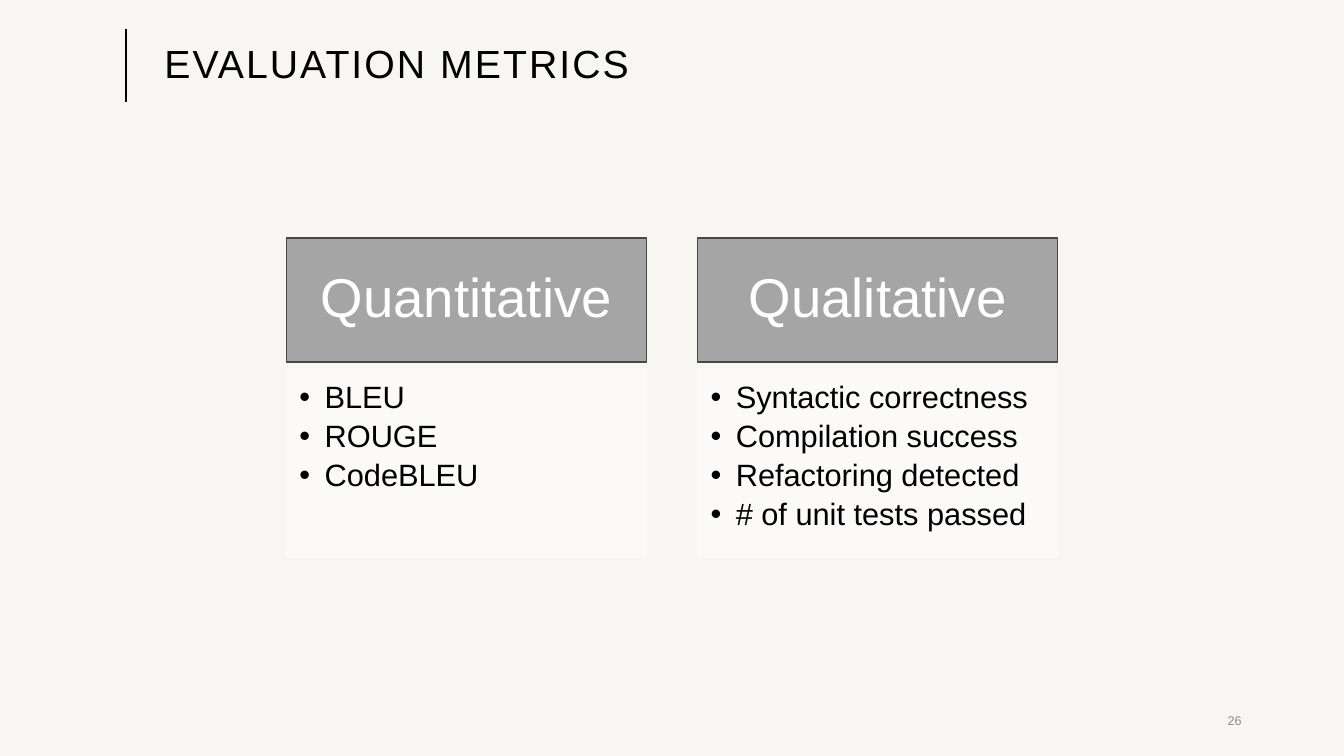
"""Build the evaluation metrics slide with its two labelled lists."""
from lxml import etree
from pptx import Presentation
from pptx import util as u
from pptx.dml.color import RGBColor
from pptx.enum import shapes, text
from pptx.oxml import ns

TITLE = "EVALUATION METRICS"
PAGE_NUMBER = "26"
METRICS = {
    "Quantitative": ["BLEU", "ROUGE", "CodeBLEU"],
    "Qualitative": ["Syntactic correctness", "Compilation success",
                    "Refactoring detected", "# of unit tests passed"],
}
BACKGROUND, BLACK, WHITE, MUTED = "F7F6F3", "000000", "FFFFFF", "8C8C8C"
HEADER_FILL, HEADER_LINE, BODY_FILL = "A5A5A5", "484848", "FDFBF9"

COLUMN_LEFT, COLUMN_STEP, COLUMN_WIDTH = 204.5, 293.7, 257.3
HEADER_TOP, HEADER_HEIGHT = 170, 88.6
BODY_TOP, BODY_HEIGHT = 263.5, 134.6
BULLET_INDENT = 18

TITLE_FORMAT = {"line_spacing": 0.9, "alignment": text.PP_ALIGN.LEFT}
NUMBER_FORMAT = {"alignment": text.PP_ALIGN.RIGHT}
HEADER_FORMAT = {"line_spacing": 0.9, "alignment": text.PP_ALIGN.CENTER}
BULLET_FORMAT = {"line_spacing": 0.9, "alignment": text.PP_ALIGN.LEFT,
                 "space_after": u.Pt(4), "level": 1}


def color(value):
    return RGBColor.from_string(value)


def set_all(target, values):
    for name, value in values.items():
        setattr(target, name, value)


def place(box, left, top, width, height):
    set_all(box, {"left": u.Pt(left), "top": u.Pt(top),
                  "width": u.Pt(width), "height": u.Pt(height)})


def set_frame(box, anchor, margins=(7.2, 3.6, 7.2, 3.6)):
    sides = ("margin_left", "margin_top", "margin_right", "margin_bottom")
    set_all(box.text_frame, {"word_wrap": True, "vertical_anchor": anchor,
                             "auto_size": text.MSO_AUTO_SIZE.NONE})
    set_all(box.text_frame, dict(zip(sides, map(u.Pt, margins))))


def write(para, words, size, shade, values):
    set_all(para, values)
    span = para.add_run()
    span.text = words
    set_all(span.font, {"name": "Arial", "size": u.Pt(size), "bold": False})
    span.font.color.rgb = color(shade)
    return span


def add_bullet(para):
    properties = para._p.get_or_add_pPr()
    properties.set("marL", str(u.Pt(BULLET_INDENT)))
    properties.set("indent", str(-u.Pt(BULLET_INDENT)))
    etree.SubElement(properties, ns.qn("a:buFont"), typeface="Arial")
    etree.SubElement(properties, ns.qn("a:buChar"), char="•")


def add_panel(page, left, top, height, fill, line):
    panel = page.shapes.add_shape(
        shapes.MSO_SHAPE.RECTANGLE,
        *map(u.Pt, (left, top, COLUMN_WIDTH, height)))
    panel.shadow.inherit = False
    panel.fill.solid()
    panel.fill.fore_color.rgb = color(fill)
    panel.line.color.rgb = color(line)
    panel.line.width = u.Pt(1)
    return panel


def add_column(page, left, heading, items):
    header = add_panel(page, left, HEADER_TOP, HEADER_HEIGHT,
                       HEADER_FILL, HEADER_LINE)
    set_frame(header, text.MSO_ANCHOR.MIDDLE, (21.6, 12.2, 21.6, 12.2))
    write(header.text_frame.paragraphs[0], heading, 39, WHITE, HEADER_FORMAT)

    body = add_panel(page, left, BODY_TOP, BODY_HEIGHT, BODY_FILL, BODY_FILL)
    for shade in body._element.spPr.iter(ns.qn("a:srgbClr")):
        etree.SubElement(shade, ns.qn("a:alpha"), val="90000")
    set_frame(body, text.MSO_ANCHOR.TOP, (9.4, 9.4, 12.2, 13.7))
    frame = body.text_frame
    for index, item in enumerate(items):
        para = frame.add_paragraph() if index else frame.paragraphs[0]
        add_bullet(para)
        write(para, item, 22, BLACK, BULLET_FORMAT)


def main():
    deck = Presentation()
    set_all(deck, {"slide_width": u.Pt(960), "slide_height": u.Pt(540)})
    page = deck.slides.add_slide(deck.slide_layouts[5])
    page.background.fill.solid()
    page.background.fill.fore_color.rgb = color(BACKGROUND)

    rule = page.shapes.add_connector(
        shapes.MSO_CONNECTOR.STRAIGHT, *map(u.Pt, (90, 72.7, 90, 21)))
    rule.line.color.rgb = color(BLACK)
    rule.line.width = u.Pt(1.5)
    etree.SubElement(rule._element.spPr, ns.qn("a:effectLst"))

    title = page.shapes.title
    place(title, 110.2, 21, 784, 51.3)
    set_frame(title, text.MSO_ANCHOR.MIDDLE)
    span = write(title.text_frame.paragraphs[0], TITLE, 28, BLACK, TITLE_FORMAT)
    span.font._element.set("spc", "150")

    number = page.shapes.add_textbox(*map(u.Pt, (678, 500.5, 216, 28.8)))
    set_frame(number, text.MSO_ANCHOR.MIDDLE)
    write(number.text_frame.paragraphs[0], PAGE_NUMBER, 9, MUTED, NUMBER_FORMAT)

    for index, (heading, items) in enumerate(METRICS.items()):
        add_column(page, COLUMN_LEFT + index * COLUMN_STEP, heading, items)
    deck.save("out.pptx")


if __name__ == "__main__":
    main()
